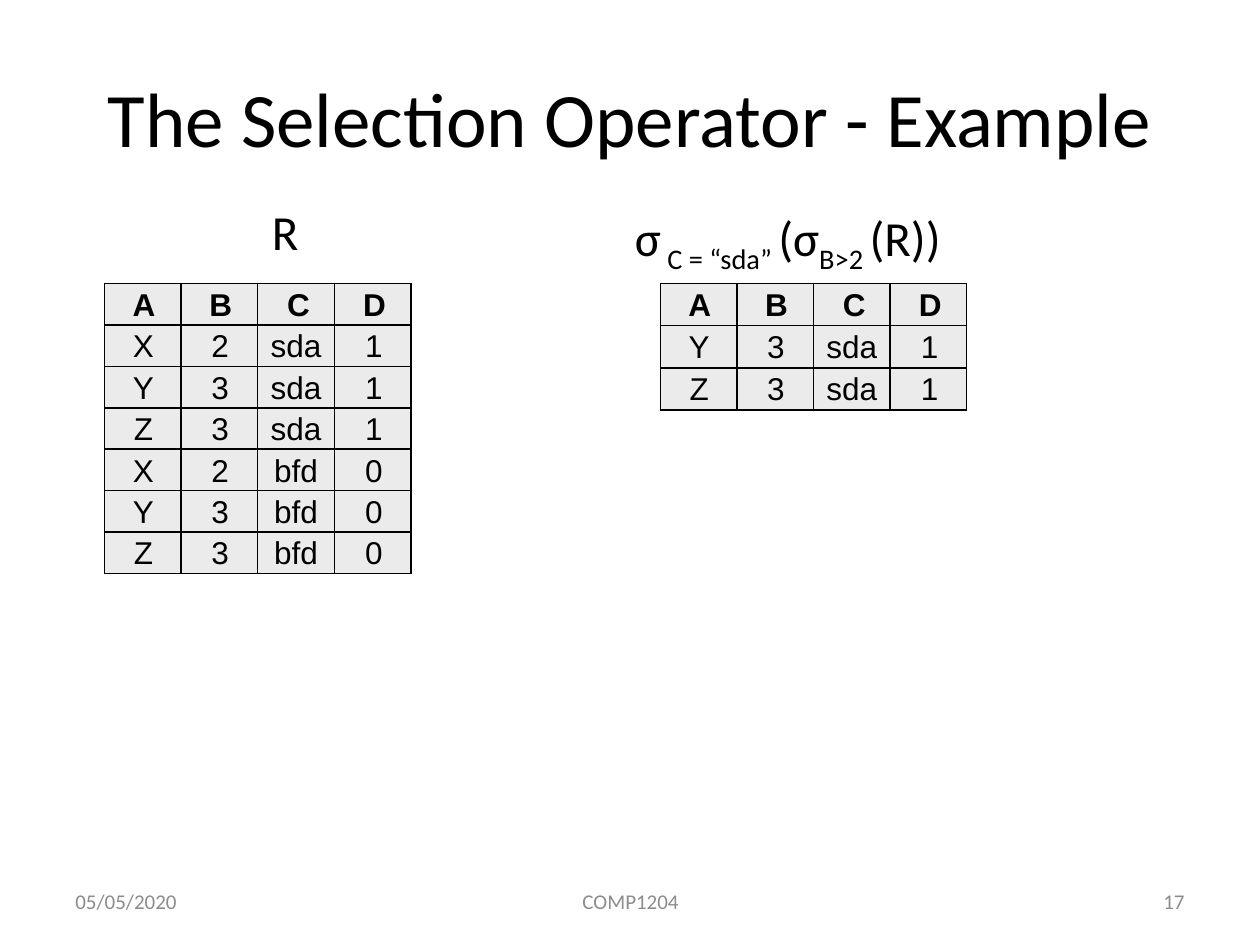
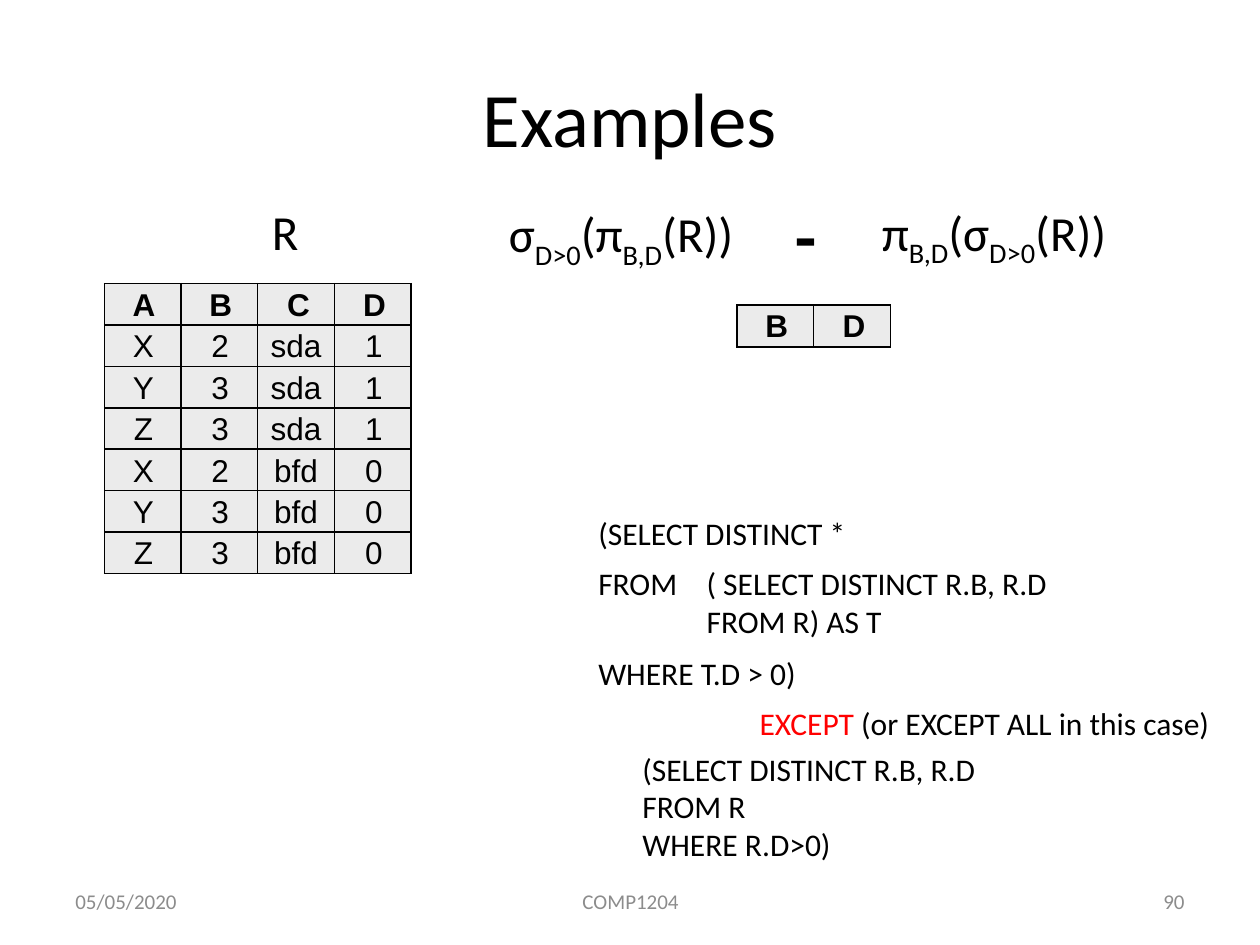
from lxml.etree import SubElement
from pptx import Presentation
from pptx.dml.color import RGBColor
from pptx.enum.text import MSO_ANCHOR, MSO_AUTO_SIZE, PP_ALIGN
from pptx.oxml.ns import qn
from pptx.util import Inches, Pt

GRID = Inches(0.1)
COLUMNS, ROWS = 100, 75
BLACK, GREY, RED, CELL = "000000", "8C8C8C", "FF0000", "EBEBEB"
TITLE = {"size": Pt(44), "name": "Calibri"}
FOOTER = {"size": Pt(12), "name": "Calibri"}
FORMULA = {"size": Pt(28), "name": "Calibri"}
MINUS = {"size": Pt(40), "name": "Calibri", "bold": True}
QUERY = {"size": Pt(18), "name": "Calibri"}
HEADER_CELL = {"size": Pt(18), "name": "Arial", "bold": True}
BODY_CELL = {"size": Pt(18), "name": "Arial", "bold": False}

CELL_WIDTH = 6.08
HEADER_INDENTS = {"A": 0.2, "B": 0.2, "C": 0.4, "D": 0.3}
BODY_INDENTS = {"A": 0.1, "B": 0.1, "C": 0, "D": 0.2}
RELATION = [
    ("X", "2", "sda", "1"),
    ("Y", "3", "sda", "1"),
    ("Z", "3", "sda", "1"),
    ("X", "2", "bfd", "0"),
    ("Y", "3", "bfd", "0"),
    ("Z", "3", "bfd", "0"),
]


def grid(*counts):
    return [round(count * GRID) for count in counts]


def color(value):
    return RGBColor.from_string(value)


def add_span(para, text, style, tint=BLACK, subscript=False):
    span = para.add_run()
    span.text = text
    for name, value in style.items():
        setattr(span.font, name, value)
    span.font.color.rgb = color(tint)
    if subscript:
        span._r.get_or_add_rPr().set("baseline", "-25000")


def add_box(page, place, wrap=True, anchor=MSO_ANCHOR.TOP,
            fit=MSO_AUTO_SIZE.SHAPE_TO_FIT_TEXT):
    frame = page.shapes.add_textbox(*grid(*place)).text_frame
    frame.word_wrap = wrap
    frame.vertical_anchor = anchor
    frame.auto_size = fit
    return frame


def add_lines(page, place, *lines, style=QUERY):
    frame = add_box(page, place, wrap=False)
    for index, line in enumerate(lines):
        para = frame.add_paragraph() if index else frame.paragraphs[0]
        add_span(para, line, style)


def add_formula(page, place, *parts, wrap=True):
    para = add_box(page, place, wrap).paragraphs[0]
    for index, part in enumerate(parts):
        add_span(para, part, FORMULA, subscript=index % 2 == 1)


def add_footer(page, number):
    for left, width, text, align in (
        (5, 23.3, "05/05/2020", PP_ALIGN.LEFT),
        (34.2, 31.7, "COMP1204", PP_ALIGN.CENTER),
        (71.7, 23.3, number, PP_ALIGN.RIGHT),
    ):
        frame = add_box(page, (left, 69.5, width, 4),
                        anchor=MSO_ANCHOR.MIDDLE, fit=MSO_AUTO_SIZE.NONE)
        frame.paragraphs[0].alignment = align
        add_span(frame.paragraphs[0], text, FOOTER, GREY)


def add_borders(cell):
    properties = cell._tc.get_or_add_tcPr()
    for index, side in enumerate(("lnL", "lnR", "lnT", "lnB")):
        line = SubElement(properties, qn(f"a:{side}"), w=str(Pt(1)))
        fill = SubElement(line, qn("a:solidFill"))
        SubElement(fill, qn("a:srgbClr"), val=BLACK)
        properties.insert(index, line)


def fill_cell(cell, text, style, indent, space):
    cell.fill.solid()
    cell.fill.fore_color.rgb = color(CELL)
    cell.margin_left, cell.margin_top = grid(indent, 0.35)
    cell.margin_right = cell.margin_bottom = 0
    para = cell.text_frame.paragraphs[0]
    para.alignment = PP_ALIGN.CENTER
    para.space_before = Pt(space)
    add_span(para, text, style)
    add_borders(cell)


def add_relation(page, left, top, names, records=(), row_height=3.35):
    count = len(records) + 1
    place = grid(left, top, len(names) * CELL_WIDTH, count * row_height)
    table = page.shapes.add_table(count, len(names), *place).table
    table.first_row = table.horz_banding = False
    for column in table.columns:
        column.width = grid(CELL_WIDTH)[0]
    for row in table.rows:
        row.height = grid(row_height)[0]
    for index, name in enumerate(names):
        fill_cell(table.cell(0, index), name, HEADER_CELL, HEADER_INDENTS[name], 4)
        for row, record in enumerate(records, 1):
            fill_cell(table.cell(row, index), record[index], BODY_CELL,
                      BODY_INDENTS[name], 3.3)


def add_page(deck, title, number):
    page = deck.slides.add_slide(deck.slide_layouts[5])
    heading = page.shapes.title
    heading.left, heading.top, heading.width, heading.height = grid(5, 3, 90, 12.5)
    para = heading.text_frame.paragraphs[0]
    para.alignment = PP_ALIGN.CENTER
    add_span(para, title, TITLE)
    add_footer(page, number)
    add_relation(page, 8.3, 22.5, "ABCD", RELATION, row_height=3.29)
    add_formula(page, (20.6, 15.5, 9.9, 5.7), "R")
    return page


def add_selection_page(deck):
    page = add_page(deck, "The Selection Operator - Example", "17")
    selected = [record for record in RELATION
                if record[2] == "sda" and int(record[1]) > 2]
    add_relation(page, 52.4, 22.5, "ABCD", selected)
    add_formula(page, (49.4, 16, 32.8, 5.7),
                "σ", " C = “sda” ", "(σ", "Β>2 ", "(R))")


def add_difference_page(deck):
    page = add_page(deck, "Examples", "90")
    add_formula(page, (39.4, 15.7, 21.1, 5.7),
                "σ", "D>0", "(π", "B,D", "(R))", wrap=False)
    add_formula(page, (69, 15.6, 21.9, 5.7), "π", "B,D", "(σ", "D>0", "(R))")
    add_lines(page, (62.1, 14.8, 3.7, 7.7), "-", style=MINUS)
    add_relation(page, 58.5, 24.2, "BD")
    add_lines(page, (46.5, 40.3, 21.9, 4), "(SELECT DISTINCT *")
    add_lines(page, (46.5, 44.3, 8.3, 4), "FROM")
    add_lines(page, (55.1, 44.3, 29.3, 7.1),
              "( SELECT DISTINCT R.B, R.D", "FROM R) AS T")
    add_lines(page, (46.5, 51.4, 19, 4), "WHERE T.D > 0)")
    add_lines(page, (50, 59, 28.7, 10.1),
              "(SELECT DISTINCT R.B, R.D", "FROM R", "WHERE R.D>0)")
    para = add_box(page, (59.3, 55.4, 37.9, 4), wrap=False).paragraphs[0]
    add_span(para, "EXCEPT ", QUERY, RED)
    add_span(para, "(or EXCEPT ALL in this case)", QUERY)


def main():
    deck = Presentation()
    deck.slide_width, deck.slide_height = grid(COLUMNS, ROWS)
    add_selection_page(deck)
    add_difference_page(deck)
    deck.save("out.pptx")


if __name__ == "__main__":
    main()
